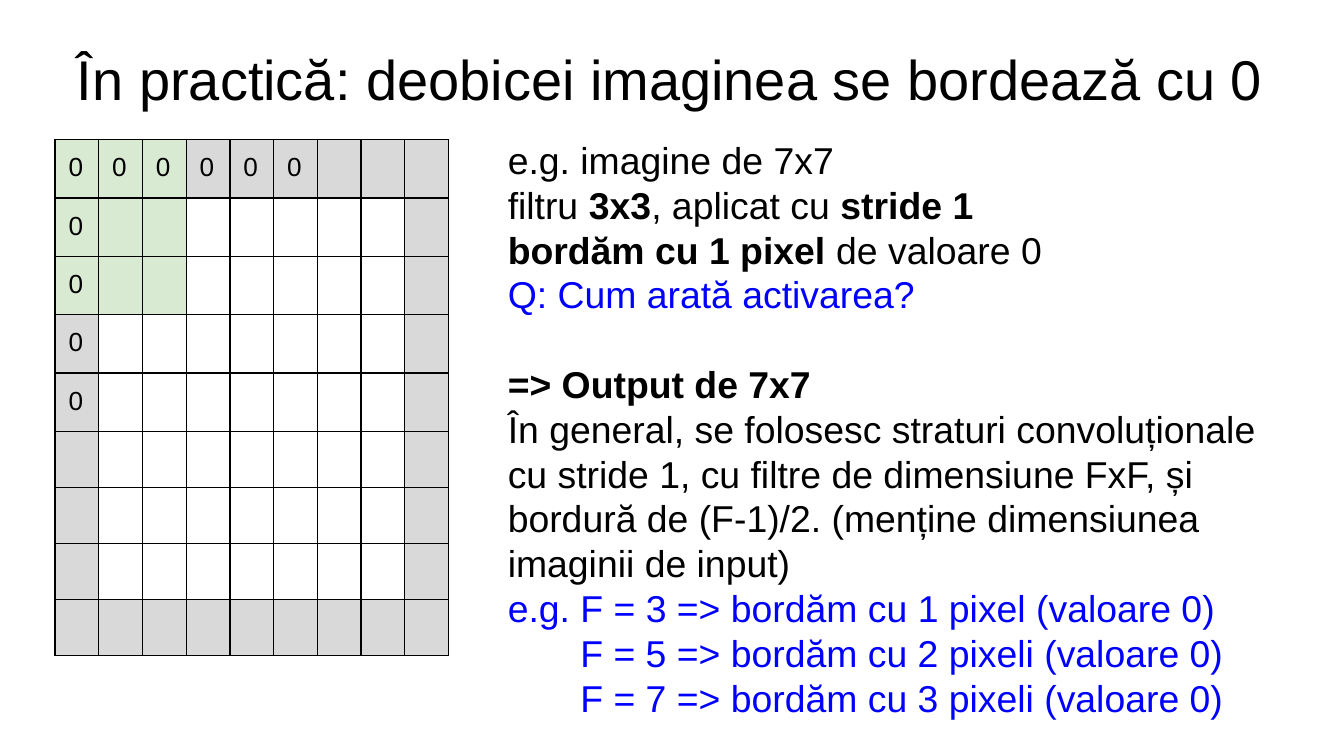
from pptx import Presentation
from pptx.dml.color import RGBColor
from pptx.enum.text import PP_ALIGN
from pptx.oxml import parse_xml
from pptx.oxml.ns import nsdecls
from pptx.util import Inches, Pt

CENTER = PP_ALIGN.CENTER
BLACK = RGBColor(0x00, 0x00, 0x00)
BLUE = RGBColor(0x00, 0x00, 0xFF)
GREEN = RGBColor(0xD9, 0xEA, 0xD3)
GRAY = RGBColor(0xD9, 0xD9, 0xD9)

MARGINS = {f"margin_{side}": Inches(0.1)
           for side in ("left", "top", "right", "bottom")}
GRID_SIZE = 9
FILTER_SIZE = 3
ZERO_COLUMNS = 6
ZERO_ROWS = 5


def add_run(paragraph, text, size, color=BLACK, bold=False):
    run = paragraph.add_run()
    run.text = text
    font_format = {"name": "Arial", "size": Pt(size), "bold": bold}
    for name, value in font_format.items():
        setattr(run.font, name, value)
    run.font.color.rgb = color


def add_text_frame(left, top, width, height):
    box = slide.shapes.add_textbox(
        Inches(left), Inches(top), Inches(width), Inches(height))
    frame_format = {"word_wrap": True, **MARGINS}
    for name, value in frame_format.items():
        setattr(box.text_frame, name, value)
    return box.text_frame


presentation = Presentation()
presentation.slide_width = Inches(10)
presentation.slide_height = Inches(10) * 9 // 16
slide = presentation.slides.add_slide(presentation.slide_layouts[6])

# Title
title = add_text_frame(0.29, 0.23, 9.39, 0.81).paragraphs[0]
title.alignment = CENTER
add_run(title, "În practică: deobicei imaginea se bordează cu 0", 30)

# Explanation: (runs as text and bold, colour, left indent, space before)
explanation = [
    ([("e.g. imagine de 7x7", False)], BLACK, 0, 0),
    ([("filtru", False), (" 3x3", True), (", aplicat cu ", False),
      ("stride 1", True)], BLACK, 0, 0),
    ([("bordăm cu 1 pixel", True), (" de valoare 0", False)], BLACK, 0, 0),
    ([("Q: Cum arată activarea?", False)], BLUE, 0, 0),
    ([("=> Output de 7x7", True)], BLACK, 0, 24),
    ([("În general, se folosesc straturi convoluționale cu stride 1, "
       "cu filtre de dimensiune FxF, și bordură de (F-1)/2. "
       "(menține dimensiunea imaginii de input)", False)], BLACK, 0, 0),
    ([("e.g. F = 3 => bordăm cu 1 pixel (valoare 0)", False)], BLUE, 0, 0),
    ([("F = 5 => bordăm cu 2 pixeli (valoare 0)", False)], BLUE, 0.54, 0),
    ([("F = 7 => bordăm cu 3 pixeli (valoare 0)", False)], BLUE, 0.54, 0),
]
text_frame = add_text_frame(3.68, 0.92, 5.96, 4.53)
for index, (runs, color, indent, space_before) in enumerate(explanation):
    paragraph = text_frame.add_paragraph() if index else text_frame.paragraphs[0]
    if space_before:
        paragraph.space_before = Pt(space_before)
    if indent:
        paragraph._p.get_or_add_pPr().set("marL", str(Inches(indent)))
    for text, bold in runs:
        add_run(paragraph, text, 20, color, bold)

# Zero-padded image: gray border, green filter window
table = slide.shapes.add_table(
    GRID_SIZE, GRID_SIZE,
    Inches(0.41), Inches(1.04), Inches(2.93), Inches(3.76)).table
table.first_row = False
table.horz_banding = False

for row in range(GRID_SIZE):
    for column in range(GRID_SIZE):
        cell = table.cell(row, column)
        if row < FILTER_SIZE and column < FILTER_SIZE:
            color = GREEN
        elif {row, column} & {0, GRID_SIZE - 1}:
            color = GRAY
        else:
            color = None
        if color is None:
            cell.fill.background()
        else:
            cell.fill.solid()
            cell.fill.fore_color.rgb = color

        if (row == 0 and column < ZERO_COLUMNS) or (column == 0 and row < ZERO_ROWS):
            for name, value in MARGINS.items():
                setattr(cell, name, value)
            add_run(cell.text_frame.paragraphs[0], "0", 14)

        properties = cell._tc.get_or_add_tcPr()
        for position, edge in enumerate(("lnL", "lnR", "lnT", "lnB")):
            properties.insert(position, parse_xml(
                f'<a:{edge} {nsdecls("a")} w="{Pt(0.75)}"><a:solidFill>'
                f'<a:srgbClr val="{BLACK}"/></a:solidFill></a:{edge}>'))

presentation.save("out.pptx")
